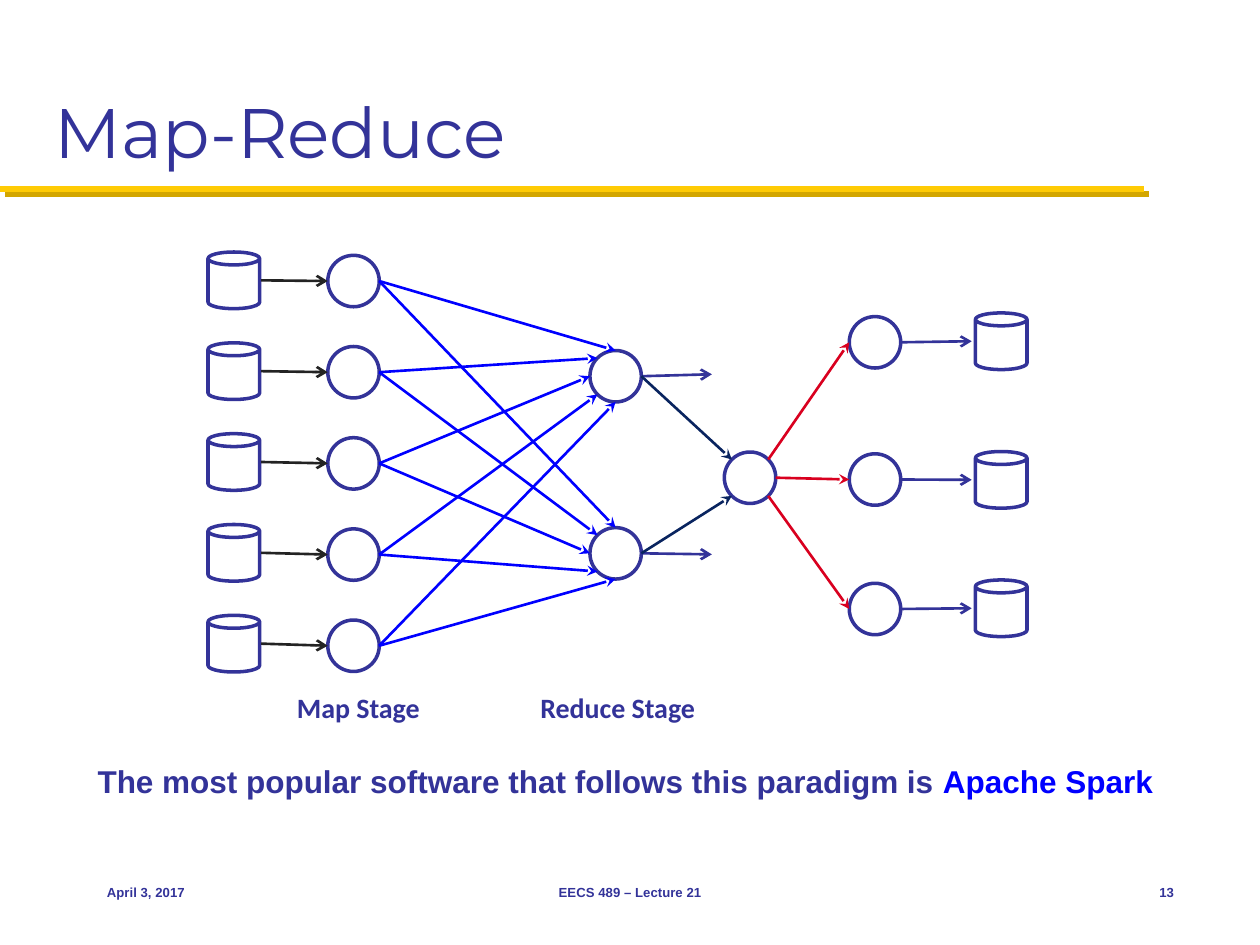
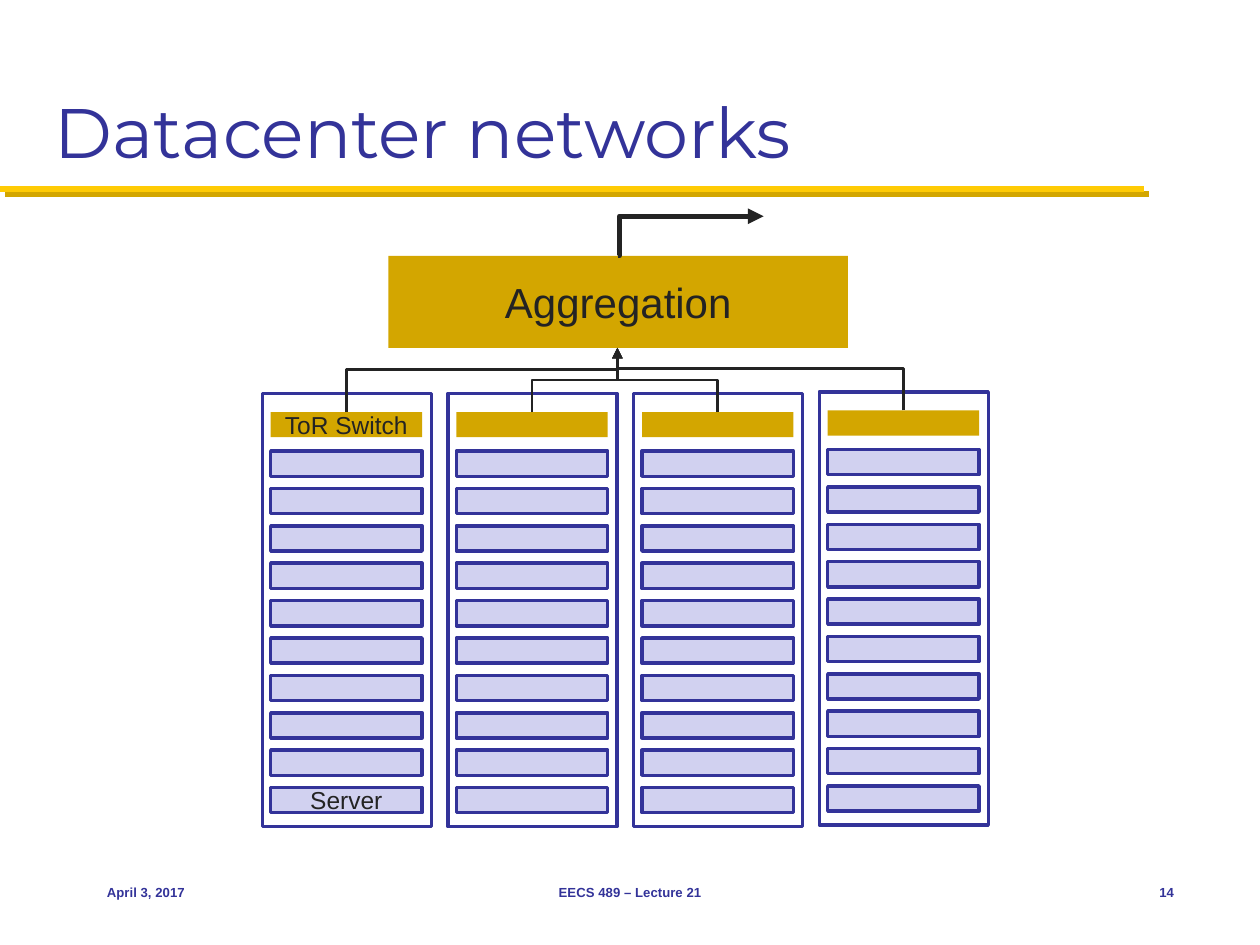
"""Build two lecture slides: a map-reduce data flow and a datacenter network."""
from math import cos, radians, sin

from lxml.etree import SubElement
from pptx import Presentation
from pptx.dml.color import RGBColor
from pptx.enum.shapes import MSO_CONNECTOR as Connector, MSO_SHAPE as Shape
from pptx.enum.text import MSO_ANCHOR as Anchor, PP_ALIGN as Align
from pptx.oxml.ns import qn
from pptx.util import Pt

INDIGO = RGBColor(0x33, 0x33, 0x99)
LAVENDER = RGBColor(0xD1, 0xD1, 0xF0)
MAIZE = RGBColor(0xFF, 0xCB, 0x05)
GOLD = RGBColor(0xD3, 0xA6, 0x00)
BLUE = RGBColor(0x00, 0x00, 0xFF)
NAVY = RGBColor(0x09, 0x24, 0x5F)
RED = RGBColor(0xD9, 0x00, 0x1F)
CHARCOAL = RGBColor(0x23, 0x23, 0x23)

DATE, COURSE = "April 3, 2017", "EECS 489 – Lecture 21"
TITLES = {13: "Map-Reduce", 14: "Datacenter networks"}
STAGES = [("Map Stage", 204.8), ("Reduce Stage", 353)]
REMARK = [("The most popular software that follows this paradigm is ", INDIGO),
          ("Apache Spark", BLUE)]

RADIUS = 14.7
CAN_WIDTH, CAN_HEIGHT = 29.5, 32.4
MAPPERS = [(202, 160.6 + 52.1 * row) for row in range(5)]
INPUTS = [(133.6, 160.2 + 51.9 * row) for row in range(5)]
REDUCERS = [(351.8, 215), (351.8, 316.2)]
REDUCER_OUTPUTS = [(406.8, 213.9), (406.8, 316.8)]
MERGER = (428.6, 273)
WORKERS = [(500, 195.6), (500, 274), (500, 348)]
OUTPUTS = [(572.1, 195), (572.1, 274.2), (572.1, 347.6)]

AGGREGATION = (222, 146.2, 262.6, 52.6)
UPLINK = (352.8, 198.8)
RACK_LEFT, RACK_PITCH, RACK_WIDTH, RACK_HEIGHT = 149.9, 106.1, 96.6, 247.6
RACK_TOPS = [224.8, 224.8, 224.8, 223.9]
UNIT_INSET, UNIT_WIDTH, UNIT_HEIGHT = 4.8, 86.5, 14.4
SWITCH_OFFSET, SERVER_OFFSET, SERVER_PITCH, SERVER_COUNT = 10.7, 33, 21.36, 10
UPLINK_BENDS = [0.667, 0.5, 0.5, 0.671]


def format_text(shape, runs, size, font="Arial", bold=False, align=Align.LEFT,
                anchor=Anchor.TOP, wrap=True):
    frame = shape.text_frame
    frame.word_wrap = wrap
    frame.vertical_anchor = anchor
    paragraph = frame.paragraphs[0]
    paragraph.alignment = align
    for text, color in runs:
        run = paragraph.add_run()
        run.text = text
        run.font.size, run.font.name, run.font.bold = Pt(size), font, bold
        run.font.color.rgb = color


def add_text(slide, box, runs, size, **style):
    format_text(slide.shapes.add_textbox(*map(Pt, box)), runs, size, **style)


def add_box(slide, kind, box, fill=None, line=INDIGO, label="", size=14):
    shape = slide.shapes.add_shape(kind, *map(Pt, box))
    shape.shadow.inherit = False
    if fill is None:
        shape.fill.background()
    else:
        shape.fill.solid()
        shape.fill.fore_color.rgb = fill
    if line is None:
        shape.line.fill.background()
    else:
        shape.line.color.rgb = line
        shape.line.width = Pt(2)
    if label:
        frame = shape.text_frame
        frame.margin_top = frame.margin_bottom = 0
        format_text(shape, [(label, CHARCOAL)], size, align=Align.CENTER,
                    anchor=Anchor.MIDDLE, wrap=False)


def add_line(slide, start, end, color, width=1.5, head=None, bend=None):
    kind = Connector.STRAIGHT if bend is None else Connector.ELBOW
    connector = slide.shapes.add_connector(kind, *map(Pt, (*start, *end)))
    connector.line.color.rgb = color
    connector.line.width = Pt(width)
    properties = connector._element.spPr
    if head:
        SubElement(properties.find(qn("a:ln")), qn("a:tailEnd"), type=head)
    if bend is not None:
        adjustments = properties.find(qn("a:prstGeom")).find(qn("a:avLst"))
        SubElement(adjustments, qn("a:gd"), name="adj1",
                   fmla=f"val {round(bend * 100000)}")
    SubElement(properties, qn("a:effectLst"))
    return connector


def add_riser(slide, start, end, bend):
    """Draw an elbow that leaves upwards, as a sideways elbow turned a quarter."""
    middle_x, middle_y = (start[0] + end[0]) / 2, (start[1] + end[1]) / 2
    half_rise, half_run = (start[1] - end[1]) / 2, abs(end[0] - start[0]) / 2
    to_right = end[0] > start[0]
    reach = half_rise if to_right else -half_rise
    connector = add_line(slide, (middle_x + reach, middle_y + half_run),
                         (middle_x - reach, middle_y - half_run), CHARCOAL,
                         head="triangle", bend=bend)
    turn = 90 if to_right else 270
    connector._element.spPr.find(qn("a:xfrm")).set("rot", str(turn * 60000))


def rim(center, degrees):
    angle = radians(degrees)
    return center[0] + RADIUS * cos(angle), center[1] + RADIUS * sin(angle)


def add_node(slide, center):
    add_box(slide, Shape.OVAL, (center[0] - RADIUS, center[1] - RADIUS,
                                2 * RADIUS, 2 * RADIUS))


def add_can(slide, center):
    add_box(slide, Shape.CAN, (center[0] - CAN_WIDTH / 2, center[1] - CAN_HEIGHT / 2,
                               CAN_WIDTH, CAN_HEIGHT))


def add_frame(presentation, number):
    slide = presentation.slides.add_slide(presentation.slide_layouts[6])
    band = add_line(slide, (0, 108), (653.8, 108), MAIZE, 3.5)
    effects = band._element.spPr.find(qn("a:effectLst"))
    shadow = SubElement(effects, qn("a:outerShdw"), blurRad="0", dist=str(Pt(4.2)),
                        dir="2700000", algn="ctr", rotWithShape="0")
    SubElement(shadow, qn("a:srgbClr"), val=str(GOLD))
    add_text(slide, (24, 12, 672, 90), [(TITLES[number], INDIGO)], 40,
             font="Montserrat", anchor=Anchor.BOTTOM)
    for text, left, width, align in [(DATE, 54, 150, Align.LEFT),
                                     (COURSE, 246, 228, Align.CENTER),
                                     (str(number), 630, 48, Align.RIGHT)]:
        add_text(slide, (left, 492, width, 36), [(text, INDIGO)], 7.5, bold=True,
                 align=align, anchor=Anchor.MIDDLE)
    return slide


def build_map_reduce(presentation):
    slide = add_frame(presentation, 13)
    for center in [*MAPPERS, *REDUCERS, MERGER, *WORKERS]:
        add_node(slide, center)
    for center in INPUTS + OUTPUTS:
        add_can(slide, center)
    for source, mapper in zip(INPUTS, MAPPERS):
        add_line(slide, (source[0] + 15.6, source[1]), rim(mapper, 180), CHARCOAL,
                 head="arrow")
    for reducer, output in zip(REDUCERS, REDUCER_OUTPUTS):
        for row, mapper in enumerate(MAPPERS):
            add_line(slide, rim(mapper, 0), rim(reducer, 270 - 45 * row), BLUE,
                     head="stealth")
        add_line(slide, rim(reducer, 0), output, INDIGO, head="arrow")
    for reducer, angle in zip(REDUCERS, (225, 135)):
        add_line(slide, rim(reducer, 0), rim(MERGER, angle), NAVY, head="stealth")
    for worker, output, angle in zip(WORKERS, OUTPUTS, (-45, 0, 45)):
        add_line(slide, rim(MERGER, angle), rim(worker, 180), RED, head="stealth")
        add_line(slide, rim(worker, 0), (output[0] - 16.8, output[1]), INDIGO,
                 head="arrow")
    for stage, center_x in STAGES:
        add_text(slide, (center_x - 65, 391, 130, 26.6), [(stage, INDIGO)], 16,
                 font="Calibri", bold=True, align=Align.CENTER)
    add_text(slide, (48.7, 432, 640, 29), REMARK, 18, bold=True)


def build_datacenter(presentation):
    slide = add_frame(presentation, 14)
    add_box(slide, Shape.RECTANGLE, AGGREGATION, GOLD, None, "Aggregation", 24)
    for rack, (top, bend) in enumerate(zip(RACK_TOPS, UPLINK_BENDS)):
        left = RACK_LEFT + rack * RACK_PITCH
        unit_left = left + UNIT_INSET
        first = rack == 0
        for row in range(SERVER_COUNT):
            unit_top = top + SERVER_OFFSET + row * SERVER_PITCH
            label = "Server" if first and row == SERVER_COUNT - 1 else ""
            add_box(slide, Shape.RECTANGLE,
                    (unit_left, unit_top, UNIT_WIDTH, UNIT_HEIGHT), LAVENDER, label=label)
        switch_top = top + SWITCH_OFFSET
        add_box(slide, Shape.RECTANGLE, (unit_left, switch_top, UNIT_WIDTH, UNIT_HEIGHT),
                GOLD, None, "ToR Switch" if first else "")
        add_box(slide, Shape.RECTANGLE, (left, top, RACK_WIDTH, RACK_HEIGHT))
        add_riser(slide, (unit_left + UNIT_WIDTH / 2, switch_top), UPLINK, bend)
    add_line(slide, (353, 146.2), (436.3, 123.6), CHARCOAL, 3, "triangle", 0.011)


def main():
    presentation = Presentation()
    presentation.slide_width, presentation.slide_height = Pt(720), Pt(540)
    build_map_reduce(presentation)
    build_datacenter(presentation)
    presentation.save("out.pptx")


if __name__ == "__main__":
    main()
